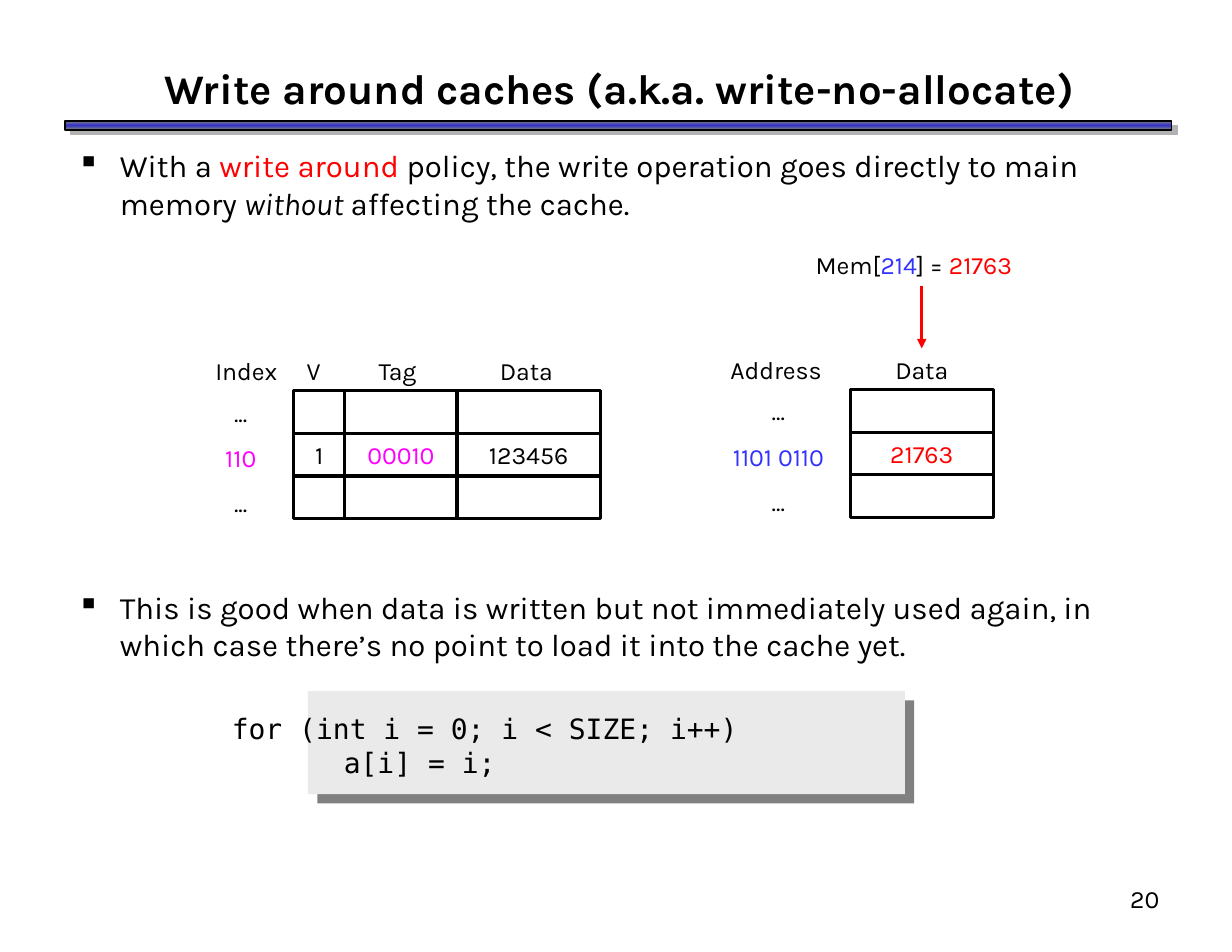
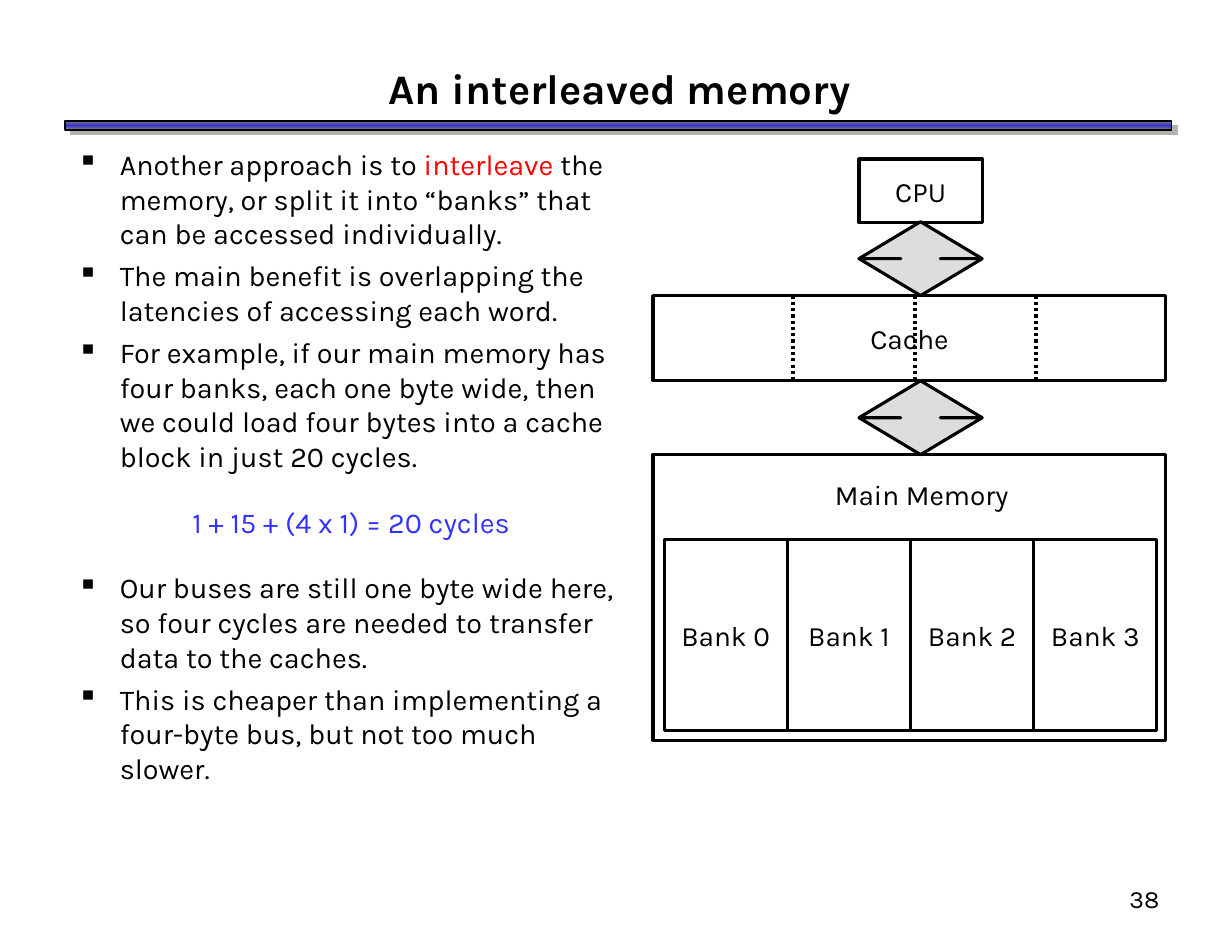
from dataclasses import dataclass
from lxml.etree import SubElement
from pptx import Presentation
from pptx.dml.color import RGBColor as RGB
from pptx.enum.dml import MSO_LINE
from pptx.enum.shapes import MSO_CONNECTOR, MSO_SHAPE
from pptx.enum.text import MSO_ANCHOR as ANCHOR, PP_ALIGN as ALIGN
from pptx.oxml.ns import qn
from pptx.util import Inches, Pt


@dataclass(frozen=True)
class Theme:
    font: str = "Karla"
    mono: str = "DejaVu Sans Mono"
    ink: str = "000000"
    red: str = "FF0000"
    blue: str = "3333FF"
    magenta: str = "FF00FF"
    band: str = "3333CC"
    band_edge: str = "808080"
    band_shadow: str = "B2B2B2"
    panel: str = "EAEAEA"
    panel_shadow: str = "808080"
    arrow: str = "DDDDDD"
    title_size: float = 27
    body_size: float = 20
    column_size: float = 18.5
    diagram_size: float = 18
    label_size: float = 16
    line: float = 2


T = Theme()


class Deck:
    def __init__(self):
        self.prs = Presentation()
        self.prs.slide_width, self.prs.slide_height = Inches(11), Inches(8.5)
        self.slide = None

    def new_slide(self, title, number):
        self.slide = self.prs.slides.add_slide(self.prs.slide_layouts[6])
        rule = self.box(0.58, 1.08, 9.88, 0.08, outline=1)
        rule.fill.gradient()
        rule.fill.gradient_angle = 90
        stops = rule._element.spPr.find(".//" + qn("a:gsLst"))
        for stop in list(stops):
            stops.remove(stop)
        for pos, color in ((0, T.band_edge), (50, T.band), (100, T.band_edge)):
            stop = SubElement(stops, qn("a:gs"), pos=str(pos * 1000))
            SubElement(stop, qn("a:srgbClr"), val=color)
        self.cast_shadow(rule, T.band_shadow, 5, 37)
        heading = self.frame(0.58, 0.5, 9.9, 0.57, ANCHOR.MIDDLE)
        self.add_text(heading, title, T.title_size, ALIGN.CENTER, bold=True)
        page = self.frame(8.17, 7.83, 2.29, 0.57)
        self.add_text(page, number, T.label_size, ALIGN.RIGHT)

    def frame(self, left, top, width, height, anchor=ANCHOR.TOP):
        area = self.slide.shapes.add_textbox(
            Inches(left), Inches(top), Inches(width), Inches(height))
        self.fit(area.text_frame, anchor)
        return area

    def fit(self, text, anchor):
        text.word_wrap = True
        text.vertical_anchor = anchor
        text.margin_left = text.margin_right = Inches(0.11)
        text.margin_top = text.margin_bottom = Inches(0.06)

    def add_text(self, holder, runs, size, align=ALIGN.LEFT, color=T.ink, font=T.font,
                 bold=False, before=0, after=0, indent=None, bullet=False):
        text = holder.text_frame
        line = text.paragraphs[0]
        if line.runs:
            line = text.add_paragraph()
        props = line._p.get_or_add_pPr()
        if indent is not None:
            props.set("marL", str(Inches(indent)))
        if bullet:
            props.set("indent", str(-Inches(indent)))
            mark = SubElement(props, qn("a:buClr"))
            SubElement(mark, qn("a:srgbClr"), val=T.ink)
            SubElement(props, qn("a:buChar"), char="▪")
        line.alignment = align
        line.space_before, line.space_after = Pt(before), Pt(after)
        line.font.name, line.font.size, line.font.bold = font, Pt(size), bold
        line.font.color.rgb = RGB.from_string(color)
        for part in [runs] if isinstance(runs, str) else runs:
            words, style = (part, None) if isinstance(part, str) else part
            run = line.add_run()
            run.text = words
            if style == "italic":
                run.font.italic = True
            elif style:
                run.font.color.rgb = RGB.from_string(style)

    def bullet(self, body, runs, size, before=5):
        self.add_text(body, runs, size, before=before, indent=0.38, bullet=True)

    def label(self, runs, center, top, size=T.label_size, width=2.2, height=0.38):
        area = self.frame(center - width / 2, top, width, height, ANCHOR.MIDDLE)
        self.add_text(area, runs, size, ALIGN.CENTER)
        return area

    def row_labels(self, key, color, center, top):
        area = self.frame(center - 0.65, top, 1.3, 1.19, ANCHOR.MIDDLE)
        for words, shade, gap in (("...", T.ink, 0), (key, color, 10), ("...", T.ink, 10)):
            self.add_text(area, words, T.label_size, ALIGN.CENTER, shade, before=gap)

    def box(self, left, top, width, height, words="", size=T.diagram_size,
            color=T.ink, fill=None, outline=T.line, kind=MSO_SHAPE.RECTANGLE):
        shape = self.slide.shapes.add_shape(
            kind, Inches(left), Inches(top), Inches(width), Inches(height))
        shape.shadow.inherit = False
        if fill:
            shape.fill.solid()
            shape.fill.fore_color.rgb = RGB.from_string(fill)
        else:
            shape.fill.background()
        if outline:
            shape.line.width = Pt(outline)
            shape.line.color.rgb = RGB.from_string(T.ink)
        else:
            shape.line.fill.background()
        if words:
            self.fit(shape.text_frame, ANCHOR.MIDDLE)
            self.add_text(shape, words, size, ALIGN.CENTER, color)
        return shape

    def cast_shadow(self, shape, color, distance, angle):
        effects = shape._element.spPr.find(qn("a:effectLst"))
        shadow = SubElement(effects, qn("a:outerShdw"), dist=str(Pt(distance)),
                            dir=str(angle * 60000), algn="ctr", rotWithShape="0")
        SubElement(shadow, qn("a:srgbClr"), val=color)

    def grid(self, left, top, widths, middle_row):
        for row in range(3):
            x = left
            for column, width in enumerate(widths):
                words, color = middle_row[column] if row == 1 else ("", T.ink)
                self.box(x, top + row * 0.38, width, 0.38, words, T.label_size, color)
                x += width

    def data_arrow(self, x, top, bottom):
        shape = self.box(x, top, 1.1, bottom - top, fill=T.arrow,
                         kind=MSO_SHAPE.UP_DOWN_ARROW)
        shape.adjustments[0], shape.adjustments[1] = 0.69, 0.32

    def line(self, x, top, bottom, color=T.ink):
        link = self.slide.shapes.add_connector(
            MSO_CONNECTOR.STRAIGHT, Inches(x), Inches(top), Inches(x), Inches(bottom))
        link.line.width = Pt(T.line)
        link.line.color.rgb = RGB.from_string(color)
        SubElement(link._element.spPr, qn("a:effectLst"))
        return link


def write_around(deck):
    deck.new_slide("Write around caches (a.k.a. write-no-allocate)", "20")
    panel = deck.box(2.75, 6.17, 5.33, 0.92, fill=T.panel, outline=0)
    deck.cast_shadow(panel, T.panel_shadow, 8.5, 45)

    body = deck.frame(0.58, 1.25, 9.87, 6.5)
    deck.bullet(body, ["With a ", ("write around", T.red),
                       " policy, the write operation goes directly to main memory ",
                       ("without", "italic"), " affecting the cache."], T.body_size)
    deck.bullet(body, "This is good when data is written but not immediately used again, in "
                "which case there’s no point to load it into the cache yet.",
                T.body_size, before=236)
    deck.add_text(body, "for (int i = 0; i < SIZE; i++)", T.diagram_size,
                  font=T.mono, before=31, indent=1.38)
    deck.add_text(body, "a[i] = i;", T.diagram_size, font=T.mono, indent=2.38)

    for heading, center in (("Index", 2.2), ("V", 2.8), ("Tag", 3.55), ("Data", 4.7)):
        deck.label(heading, center, 3.12, width=0.9)
    deck.row_labels("110", T.magenta, 2.15, 3.49)
    deck.grid(2.62, 3.49, (0.46, 1, 1.28),
              (("1", T.ink), ("00010", T.magenta), ("123456", T.ink)))

    deck.label("Address", 6.93, 3.11, width=1.3)
    data = deck.label("Data", 8.23, 3.11, width=1.28)
    deck.row_labels("1101 0110", T.blue, 6.95, 3.48)
    deck.grid(7.59, 3.48, (1.28,), (("21763", T.red),))
    deck.label(["Mem[", ("214", T.blue), "] = ", ("21763", T.red)], 8.16, 2.17)
    store = deck.line(8.23, 2.55, 3.11, T.red)
    store.end_connect(data, 0)
    SubElement(store._element.spPr.find(qn("a:ln")), qn("a:tailEnd"), type="triangle")


def interleaved_memory(deck):
    deck.new_slide("An interleaved memory", "38")
    body = deck.frame(0.58, 1.25, 5.11, 6.5)
    for point in (
        ["Another approach is to ", ("interleave", T.red),
         " the memory, or split it into “banks” that can be accessed individually."],
        "The main benefit is overlapping the latencies of accessing each word.",
        "For example, if our main memory has four banks, each one byte wide, then "
        "we could load four bytes into a cache block in just 20 cycles.",
    ):
        deck.bullet(body, point, T.column_size)
    deck.add_text(body, "1 + 15 + (4 x 1) = 20 cycles", T.column_size, ALIGN.CENTER,
                  T.blue, before=20, after=15)
    for point in (
        "Our buses are still one byte wide here, so four cycles are needed to "
        "transfer data to the caches.",
        "This is cheaper than implementing a four-byte bus, but not too much slower.",
    ):
        deck.bullet(body, point, T.column_size)

    deck.box(7.67, 1.42, 1.1, 0.57, "CPU")
    deck.data_arrow(7.67, 1.98, 2.64)
    deck.box(5.83, 2.64, 4.58, 0.76, "Cache")
    for x in (7.08, 8.17, 9.25):
        deck.line(x, 2.64, 3.4).line.dash_style = MSO_LINE.ROUND_DOT
    deck.data_arrow(7.67, 3.4, 4.06)
    deck.box(5.83, 4.06, 4.58, 2.55)
    deck.label("Main Memory", 8.23, 4.21, T.diagram_size, height=0.41)
    for bank in range(4):
        deck.box(5.93 + bank * 1.1, 4.82, 1.1, 1.7, f"Bank {bank}")


def main():
    deck = Deck()
    write_around(deck)
    interleaved_memory(deck)
    deck.prs.save("out.pptx")


if __name__ == "__main__":
    main()
